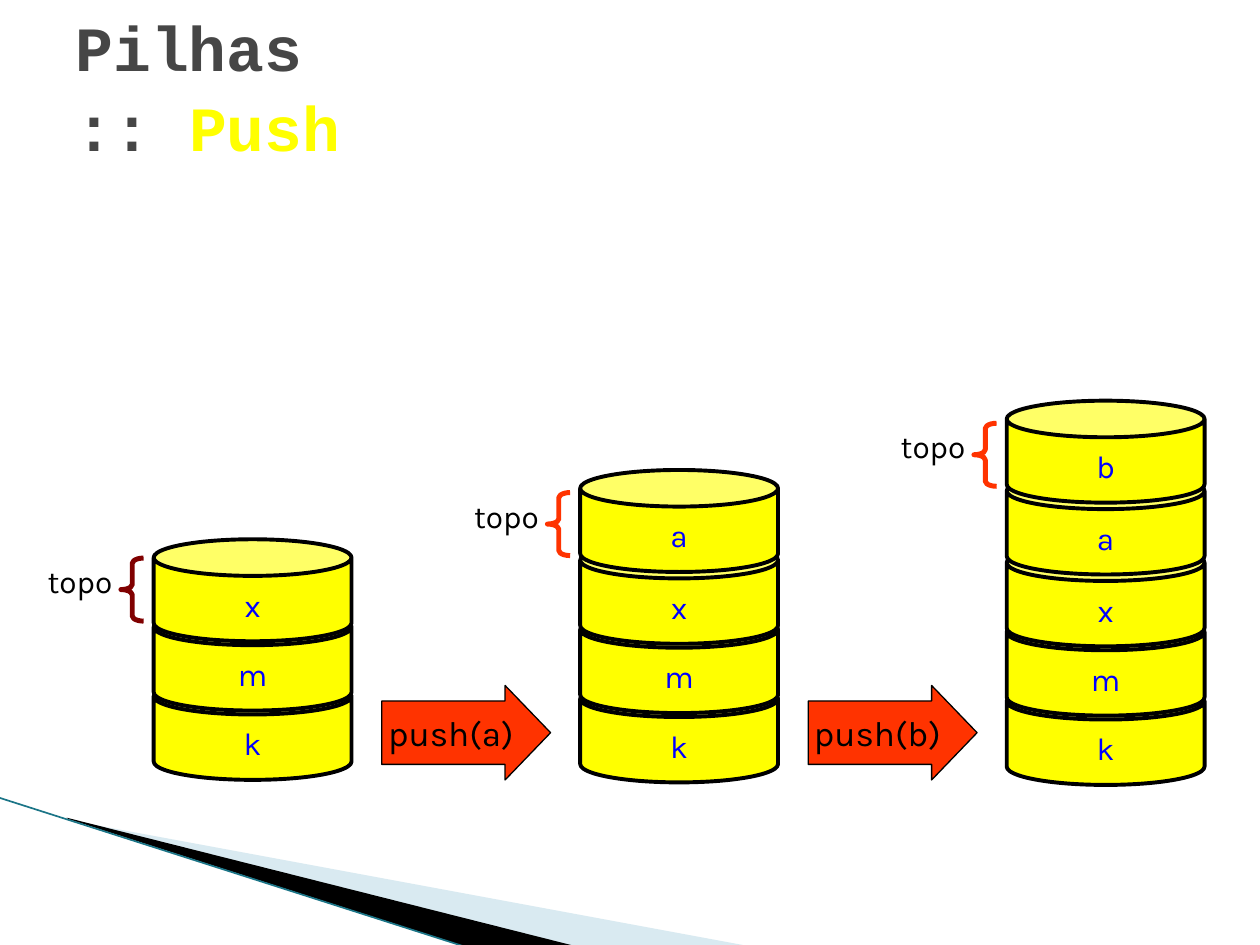
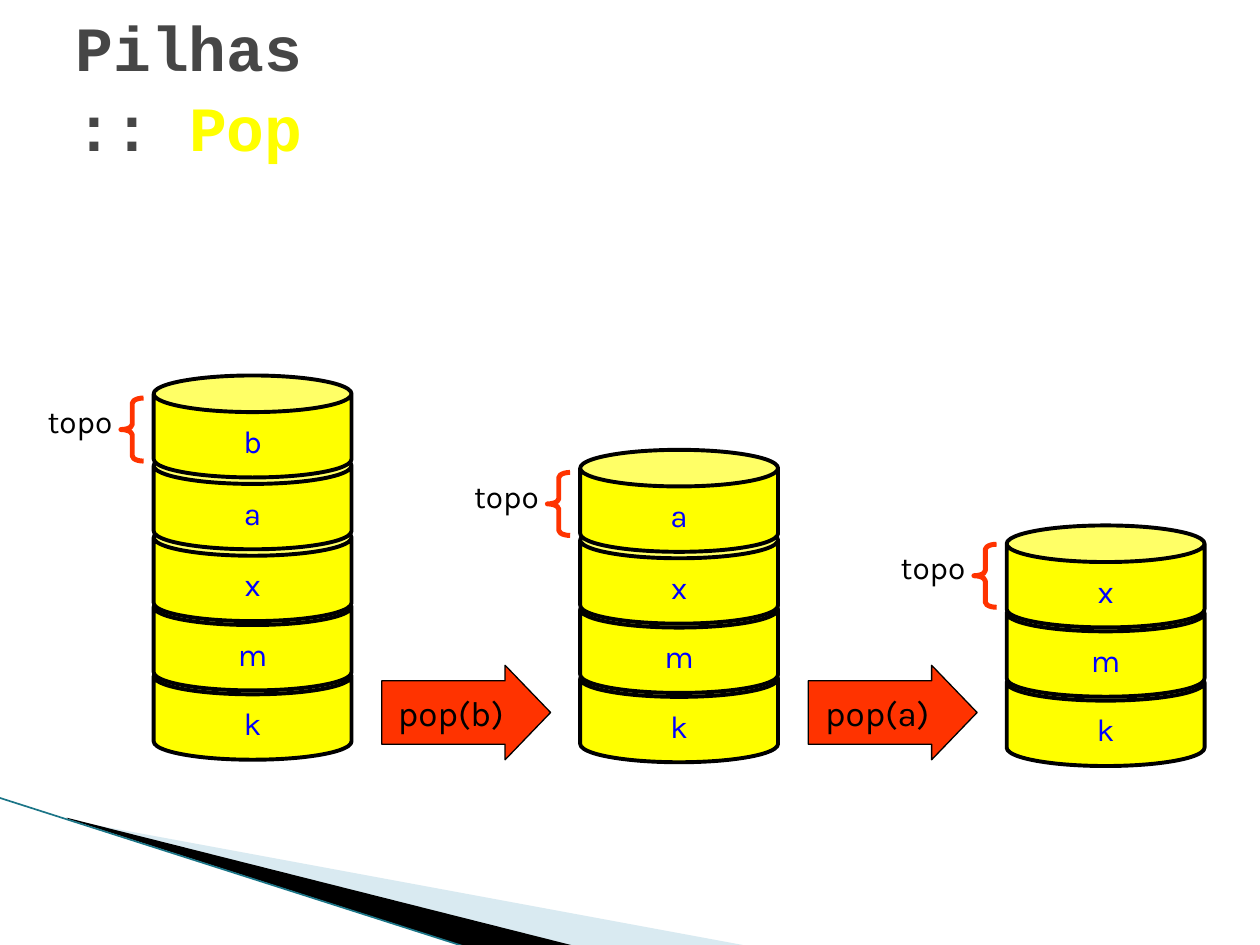
from dataclasses import dataclass

from lxml.etree import SubElement
from pptx import Presentation
from pptx.dml.color import RGBColor
from pptx.enum.shapes import MSO_CONNECTOR, MSO_SHAPE
from pptx.enum.text import MSO_ANCHOR, MSO_AUTO_SIZE, PP_ALIGN
from pptx.oxml.ns import qn
from pptx.shapes.base import BaseShape
from pptx.slide import Slide
from pptx.text.text import TextFrame, _Run
from pptx.util import Inches, Pt


@dataclass(frozen=True)
class Theme:
    title_font: str = "Courier New"
    body_font: str = "Karla"
    title_size: int = 36
    item_size: int = 18
    call_size: int = 20
    title: str = "464646"
    yellow: str = "FFFF00"
    blue: str = "0000FF"
    black: str = "000000"
    red: str = "FF3300"
    maroon: str = "800000"
    pale_blue: str = "A0CBDC"
    teal: str = "1B7587"


THEME = Theme()


@dataclass(frozen=True)
class Stack:
    items: str  # bottom to top
    base: float  # top edge of the lowest can
    brace: str = THEME.red


@dataclass(frozen=True)
class StackSlide:
    operation: str
    stacks: tuple[Stack, ...]
    calls: tuple[str, ...]


@dataclass(frozen=True)
class Wedge:
    points: tuple[tuple[float, float], ...]
    color: str
    alpha: int = 100


SLIDES = (
    StackSlide(
        "Push",
        (Stack("kmx", 5.38, THEME.maroon), Stack("kmxa", 5.4), Stack("kmxab", 5.42)),
        ("push(a)", "push(b)"),
    ),
    StackSlide(
        "Pop",
        (Stack("kmxab", 5.22), Stack("kmxa", 5.24), Stack("kmx", 5.27)),
        ("pop(b)", "pop(a)"),
    ),
)

WEDGES = (
    Wedge(((0.55, 6.51), (5.95, 7.51), (4.56, 7.51), (0.55, 6.5)), THEME.pale_blue, 40),
    Wedge(((0.53, 6.49), (4.57, 7.51), (3.72, 7.52), (0.54, 6.5)), THEME.black),
)

FIRST_STACK, STACK_PITCH = 1.22, 3.385
CAN_WIDTH, CAN_HEIGHT = 1.57, 0.81
CAN_RISES = (0, 0.55, 1.1, 1.67, 2.24)


def rgb(color: str) -> RGBColor:
    return RGBColor.from_string(color)


def style_run(r: _Run, font: str, size: int, color: str) -> None:
    r.font.name = font
    r.font.size = Pt(size)
    r.font.color.rgb = rgb(color)


def write(tf: TextFrame, text: str, size: int, color: str, align: PP_ALIGN) -> None:
    tf.text = text
    p = tf.paragraphs[0]
    p.alignment = align
    style_run(p.runs[0], THEME.body_font, size, color)


def add_outlined(s: Slide, kind: MSO_SHAPE, box: tuple[float, ...], adjustments: tuple[float, ...],
                 line: str, width: float, fill: str | None = None) -> BaseShape:
    sp = s.shapes.add_shape(kind, *map(Inches, box))
    sp.shadow.inherit = False
    for i, value in enumerate(adjustments):
        sp.adjustments[i] = value
    sp.line.color.rgb = rgb(line)
    sp.line.width = Pt(width)
    if fill:
        sp.fill.solid()
        sp.fill.fore_color.rgb = rgb(fill)
    else:
        sp.fill.background()
    return sp


def center_text(sp: BaseShape, text: str, size: int, color: str) -> None:
    tf = sp.text_frame
    tf.word_wrap = False
    tf.vertical_anchor = MSO_ANCHOR.MIDDLE
    write(tf, text, size, color, PP_ALIGN.CENTER)


def add_corner(s: Slide) -> None:
    """Draw the wedges and the line of the lower left corner."""
    for wedge in WEDGES:
        start, *others = [(Inches(x), Inches(y)) for x, y in wedge.points]
        builder = s.shapes.build_freeform(*start)
        builder.add_line_segments(others)
        sp = builder.convert_to_shape()
        sp.shadow.inherit = False
        sp.line.fill.background()
        sp.fill.solid()
        sp.fill.fore_color.rgb = rgb(wedge.color)
        if wedge.alpha < 100:
            color = sp.element.spPr.find(f"{qn('a:solidFill')}/{qn('a:srgbClr')}")
            SubElement(color, qn("a:alpha"), val=str(wedge.alpha * 1000))
    edge = s.shapes.add_connector(
        MSO_CONNECTOR.STRAIGHT, Inches(-0.01), Inches(6.33), Inches(3.71), Inches(7.52))
    edge.line.color.rgb = rgb(THEME.teal)
    edge.line.width = Pt(0.95)
    SubElement(edge.element.spPr, qn("a:effectLst"))


def set_title(s: Slide, operation: str) -> None:
    title = s.shapes.title
    title.left, title.top, title.width, title.height = map(Inches, (0.5, 0.16, 8.95, 1.02))
    tf = title.text_frame
    tf.auto_size = MSO_AUTO_SIZE.NONE
    tf.vertical_anchor = MSO_ANCHOR.MIDDLE
    p = tf.paragraphs[0]
    p.text = "Pilhas\v:: "
    p.add_run().text = operation
    p.alignment = PP_ALIGN.LEFT
    p.line_spacing = 1.05
    for r in p.runs:
        style_run(r, THEME.title_font, THEME.title_size, THEME.title)
        r.font.bold = True
    p.runs[-1].font.color.rgb = rgb(THEME.yellow)


def add_top_marker(s: Slide, left: float, top: float, color: str) -> None:
    add_outlined(s, MSO_SHAPE.LEFT_BRACE, (left - 0.26, top, 0.18, 0.5), (0.229, 0.5), color, 2.83)
    label = s.shapes.add_textbox(*map(Inches, (left - 1.1, top, 0.87, 0.49)))
    tf = label.text_frame
    tf.word_wrap = True
    write(tf, "topo", THEME.item_size, THEME.black, PP_ALIGN.RIGHT)
    tf.paragraphs[0].line_spacing = 0.97


def add_stack(s: Slide, stack: Stack, left: float) -> None:
    top = stack.base
    for item, rise in zip(stack.items, CAN_RISES):
        top = stack.base - rise
        can = add_outlined(s, MSO_SHAPE.CAN, (left, top, CAN_WIDTH, CAN_HEIGHT), (0.359,),
                           THEME.black, 2.25, THEME.yellow)
        center_text(can, item, THEME.item_size, THEME.blue)
        can.text_frame.margin_top = Inches(0.13)
    add_top_marker(s, left, top + (0.15 if len(stack.items) == 3 else 0.18), stack.brace)


def add_call_arrow(s: Slide, call: str, left: float, top: float) -> None:
    arrow = add_outlined(s, MSO_SHAPE.RIGHT_ARROW, (left, top, 1.34, 0.75), (0.671, 0.481),
                         THEME.black, 0.75, THEME.red)
    center_text(arrow, call, THEME.call_size, THEME.black)


def add_stack_slide(prs: Presentation, content: StackSlide) -> None:
    s = prs.slides.add_slide(prs.slide_layouts.get_by_name("Title Only"))
    add_corner(s)
    set_title(s, content.operation)
    for i, stack in enumerate(content.stacks):
        add_stack(s, stack, FIRST_STACK + i * STACK_PITCH)
    for i, call in enumerate(content.calls):
        add_call_arrow(s, call, FIRST_STACK + i * STACK_PITCH + 1.81, content.stacks[0].base + 0.06)


def main() -> None:
    prs = Presentation()
    prs.slide_width, prs.slide_height = Inches(10), Inches(7.5)
    for content in SLIDES:
        add_stack_slide(prs, content)
    prs.save("out.pptx")


if __name__ == "__main__":
    main()
